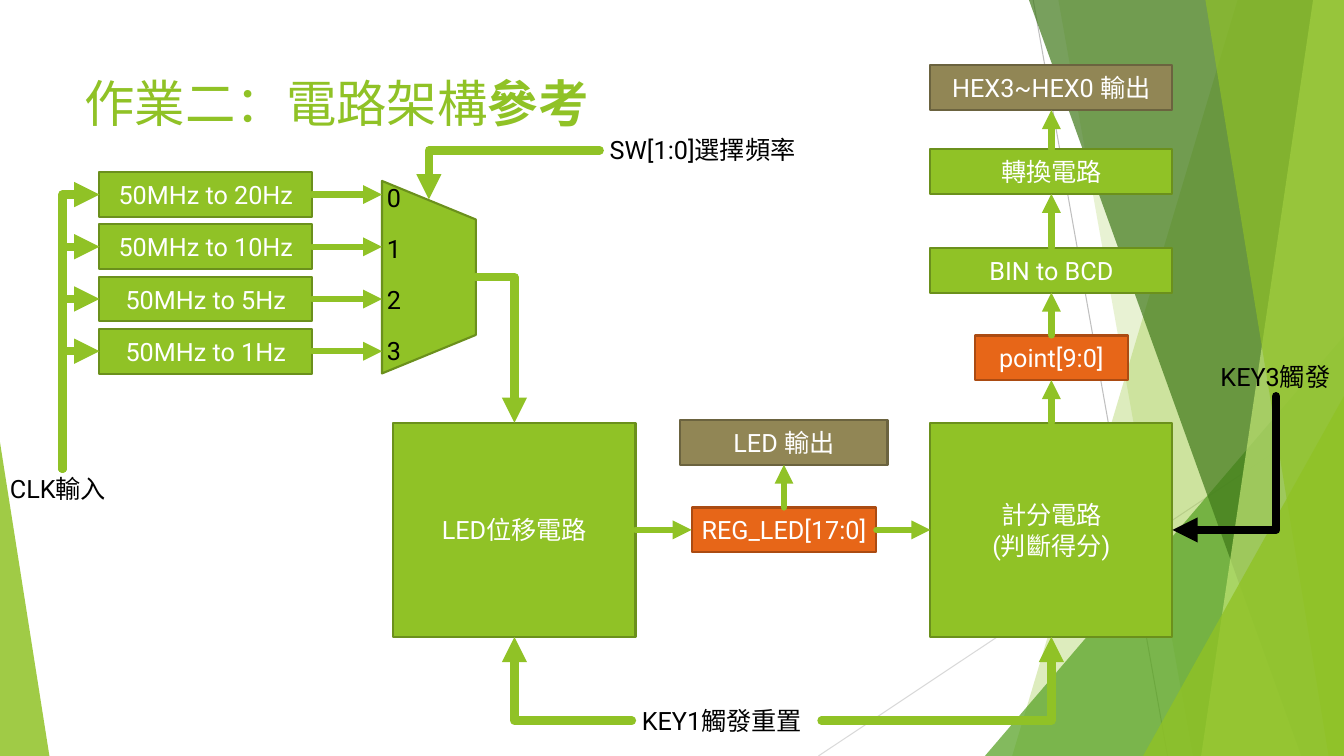
import pptx
import pptx.util
import pptx.dml.color
import pptx.enum.shapes
import pptx.enum.text
import pptx.oxml
from pptx.oxml.ns import qn

Pt = pptx.util.Pt
RGB = pptx.dml.color.RGBColor.from_string
SHAPE = pptx.enum.shapes.MSO_SHAPE
CONNECTOR = pptx.enum.shapes.MSO_CONNECTOR
ALIGN = pptx.enum.text.PP_ALIGN
ANCHOR = pptx.enum.text.MSO_ANCHOR

# Content: lengths in points
SLIDE_W, SLIDE_H = 960, 540
TITLE = (("作業二：電路架構", False), ("參考", True))
TITLE_BOX = (53.3, 48.2, 677, 104)

DIVIDERS = ("50MHz to 20Hz", "50MHz to 10Hz", "50MHz to 5Hz", "50MHz to 1Hz")
DIVIDER_CX, DIVIDER_CY, DIVIDER_PITCH, DIVIDER_W = 147, 139, 37.3, 152
MUX_CX, MUX_CY, MUX_W, MUX_H = 306.4, 198, 67, 137.5
MUX_INPUTS = ("0", "1", "2", "3")
MUX_INPUT_BOX = (269.3, 126.7, 74, 138)
MUX_INPUT_GAP = 14.8

ROW_H = 32
SCORE_CX, FLOW_CY = 751, 378.5
SHIFT_CX, REG_CX = 367.5, 560
BLOCK_W, BLOCK_H = 173, 153
# key: (lines, centre x, centre y, width, height, colour role)
BLOCKS = {
    "score": (("計分電路", "(判斷得分)"), SCORE_CX, FLOW_CY, BLOCK_W, BLOCK_H, "logic"),
    "point": (("point[9:0]",), SCORE_CX, 255.6, 109, ROW_H, "register"),
    "bcd": (("BIN to BCD",), SCORE_CX, 193, BLOCK_W, ROW_H, "logic"),
    "convert": (("轉換電路",), SCORE_CX, 122.5, BLOCK_W, ROW_H, "logic"),
    "hex": (("HEX3~HEX0 輸出",), SCORE_CX, 62.7, BLOCK_W, ROW_H, "output"),
    "shift": (("LED位移電路",), SHIFT_CX, FLOW_CY, BLOCK_W, BLOCK_H, "logic"),
    "reg": (("REG_LED[17:0]",), REG_CX, FLOW_CY, 132, ROW_H, "register"),
    "led": (("LED 輸出",), REG_CX, 316, 148, ROW_H, "output"),
}
TOP, LEFT, BOTTOM, RIGHT = range(4)
LINKS = (
    ("shift", RIGHT, "reg", LEFT), ("reg", RIGHT, "score", LEFT),
    ("reg", TOP, "led", BOTTOM), ("score", TOP, "point", BOTTOM),
    ("point", TOP, "bcd", BOTTOM), ("bcd", TOP, "convert", BOTTOM),
    ("convert", TOP, "hex", BOTTOM),
)
SIGNALS = (
    ("CLK輸入", 0, 334.8, 89), ("SW[1:0]選擇頻率", 428.4, 92.6, 155),
    ("KEY1觸發重置", 451.4, 500.4, 136), ("KEY3觸發", 864.7, 254.2, 93.6),
)
SIGNAL_H = 29
BLOCK_BOTTOM = FLOW_CY + BLOCK_H / 2
# start, end, vertical leg first, colour role
ELBOWS = [
    ((911.5, 283), (837.5, FLOW_CY), True, "ink"),
    ((451.4, 514.8), (SHIFT_CX, BLOCK_BOTTOM), False, "logic"),
    ((586.8, 514.8), (SCORE_CX, BLOCK_BOTTOM), False, "logic"),
    ((428.4, 107.4), (MUX_CX, 142.5), False, "logic"),
    ((MUX_CX + MUX_W / 2, MUX_CY), (SHIFT_CX, FLOW_CY - BLOCK_H / 2), False, "logic"),
]
CLK_START = (44.6, 334.8)

# Backdrop: bands are (top x, bottom x), wedges (left, top, width, height, apex)
HAIRLINES = (((738, 0), (834, 540), "BFBFBF"), ((960, 290), (584.6, 540), "D9D9D9"))
BACKDROP = (
    ("band", (884, 723), "90C226", 30), ("band", (756, 852), "90C226", 20),
    ("wedge", (703.5, 240, 256.5, 300, 1), "54A021", 72),
    ("band", (735, 929.5), "3F7819", 70), ("band", (938, 858), "C0E474", 70),
    ("band", (861, 949), "90C226", 65),
    ("wedge", (816.5, 283, 143.5, 257, 1), "90C226", 80),
    ("wedge", (0, 316, 35.3, 224, 0), "90C226", 85),
)

THEME = {
    "fill": {"logic": "90C226", "register": "E76618", "output": "918655", "ink": "000000"},
    "edge": {"logic": "6B901C", "register": "AB4B12", "output": "6B633F"},
    "title": {"name": "Roboto", "size": Pt(36), "color": "90C226"},
    "block": {"name": "Roboto", "size": Pt(18), "color": "FFFFFF"},
    "signal": {"name": "Roboto", "size": Pt(18), "color": "000000"},
    "edge_w": 1.5, "hair_w": 0.75, "wire_w": 4.5, "bus_w": 6,
}

deck = pptx.Presentation()
deck.slide_width, deck.slide_height = Pt(SLIDE_W), Pt(SLIDE_H)
slide = deck.slides.add_slide(deck.slide_layouts[6])
shapes = slide.shapes


def apply(target, values):
    for key, value in values.items():
        if key == "color":
            target.color.rgb = RGB(value)
        else:
            setattr(target, key, value)


def paint(shape, fill, edge=None, alpha=None):
    shape.shadow.inherit = False
    shape.fill.solid()
    shape.fill.fore_color.rgb = RGB(fill)
    if alpha is not None:
        color = shape.element.spPr.find(qn("a:solidFill")).find(qn("a:srgbClr"))
        color.append(color.makeelement(qn("a:alpha"), {"val": str(alpha * 1000)}))
    if edge:
        apply(shape.line, {"width": Pt(THEME["edge_w"])})
        shape.line.color.rgb = RGB(edge)
    else:
        shape.line.fill.background()


def write(frame, lines, font, frame_format, gap=0, align=ALIGN.LEFT):
    """Each line is a tuple of (text, bold) runs."""
    apply(frame, {"word_wrap": True, **frame_format})
    for i, runs in enumerate(lines):
        paragraph = frame.paragraphs[0] if i == 0 else frame.add_paragraph()
        paragraph.alignment = align
        if i and gap:
            paragraph.space_before = Pt(gap)
        for text, bold in runs:
            run = paragraph.add_run()
            run.text = text
            apply(run.font, {**THEME[font], "bold": bold})


def plain(lines):
    return [((line, False),) for line in lines]


def label(box, lines, font, gap=0):
    frame = shapes.add_textbox(*map(Pt, box)).text_frame
    write(frame, lines, font, {"vertical_anchor": ANCHOR.TOP}, gap)


def block(lines, cx, cy, w, h, role):
    shape = shapes.add_shape(SHAPE.RECTANGLE, Pt(cx - w / 2), Pt(cy - h / 2), Pt(w), Pt(h))
    paint(shape, THEME["fill"][role], THEME["edge"][role])
    write(shape.text_frame, plain(lines), "block",
          {"vertical_anchor": ANCHOR.MIDDLE, "margin_left": Pt(3.6), "margin_right": Pt(3.6)},
          align=ALIGN.CENTER)
    return shape


def wire(start, end, color, width, arrow=True):
    line = shapes.add_connector(CONNECTOR.STRAIGHT, *map(Pt, (*start, *end)))
    line.line.width = Pt(width)
    line.line.color.rgb = RGB(color)
    spPr = line.element.spPr
    if arrow:
        ln = spPr.find(qn("a:ln"))
        ln.set("cap", "rnd")
        ln.append(ln.makeelement(qn("a:tailEnd"), {"type": "triangle"}))
    spPr.append(spPr.makeelement(qn("a:effectLst"), {}))
    return line


def elbow(start, end, vertical_first, role):
    (x1, y1), (x2, y2) = start, end
    if vertical_first:  # a quarter turn about the shared centre
        cx, cy, dx, dy = (x1 + x2) / 2, (y1 + y2) / 2, (x2 - x1) / 2, (y2 - y1) / 2
        start, end = (cx - dy, cy + dx), (cx + dy, cy - dx)
    spPr = wire(start, end, THEME["fill"][role], THEME["bus_w"]).element.spPr
    spPr.find(qn("a:prstGeom")).set("prst", "bentConnector2")
    if vertical_first:
        spPr.find(qn("a:xfrm")).set("rot", "5400000")


# Backdrop
for start, end, color in HAIRLINES:
    wire(start, end, color, THEME["hair_w"], arrow=False)
for kind, place, color, alpha in BACKDROP:
    if kind == "band":
        top_x, bottom_x = place
        outline = shapes.build_freeform(Pt(top_x), 0, scale=1.0)
        corners = ((SLIDE_W, 0), (SLIDE_W, SLIDE_H), (bottom_x, SLIDE_H))
        outline.add_line_segments([(Pt(x), Pt(y)) for x, y in corners], close=True)
        facet = outline.convert_to_shape()
    else:
        facet = shapes.add_shape(SHAPE.ISOSCELES_TRIANGLE, *map(Pt, place[:4]))
        facet.adjustments[0] = place[4]
    paint(facet, color, alpha=alpha)

# Title, blocks and signal names
label(TITLE_BOX, [TITLE], "title")
placed = {key: block(*values) for key, values in BLOCKS.items()}
for text, left, top, width in SIGNALS:
    label((left, top, width, SIGNAL_H), plain([text]), "signal")

# Multiplexer, turned so its wide side faces the dividers
mux = shapes.add_shape(SHAPE.FLOWCHART_MANUAL_OPERATION, Pt(MUX_CX - MUX_H / 2),
                       Pt(MUX_CY - MUX_W / 2), Pt(MUX_H), Pt(MUX_W))
mux.rotation = 270
paint(mux, THEME["fill"]["logic"], THEME["edge"]["logic"])

# Dividers, each fed by the clock and feeding one multiplexer input
for row, text in enumerate(DIVIDERS):
    cy = DIVIDER_CY + row * DIVIDER_PITCH
    divider = block((text,), DIVIDER_CX, cy, DIVIDER_W, ROW_H, "logic")
    ELBOWS.append((CLK_START, (DIVIDER_CX - DIVIDER_W / 2, cy), True, "logic"))
    tap = wire((DIVIDER_CX + DIVIDER_W / 2, cy), (MUX_CX - MUX_W / 2, cy),
               THEME["fill"]["logic"], THEME["wire_w"])
    tap.begin_connect(divider, RIGHT)
label(MUX_INPUT_BOX, plain(MUX_INPUTS), "signal", MUX_INPUT_GAP)

# Arrows between blocks
for source, source_side, target, target_side in LINKS:
    link = wire((0, 0), (0, 0), THEME["fill"]["logic"], THEME["wire_w"])
    link.begin_connect(placed[source], source_side)
    link.end_connect(placed[target], target_side)
for bus in ELBOWS:
    elbow(*bus)

deck.save("out.pptx")
